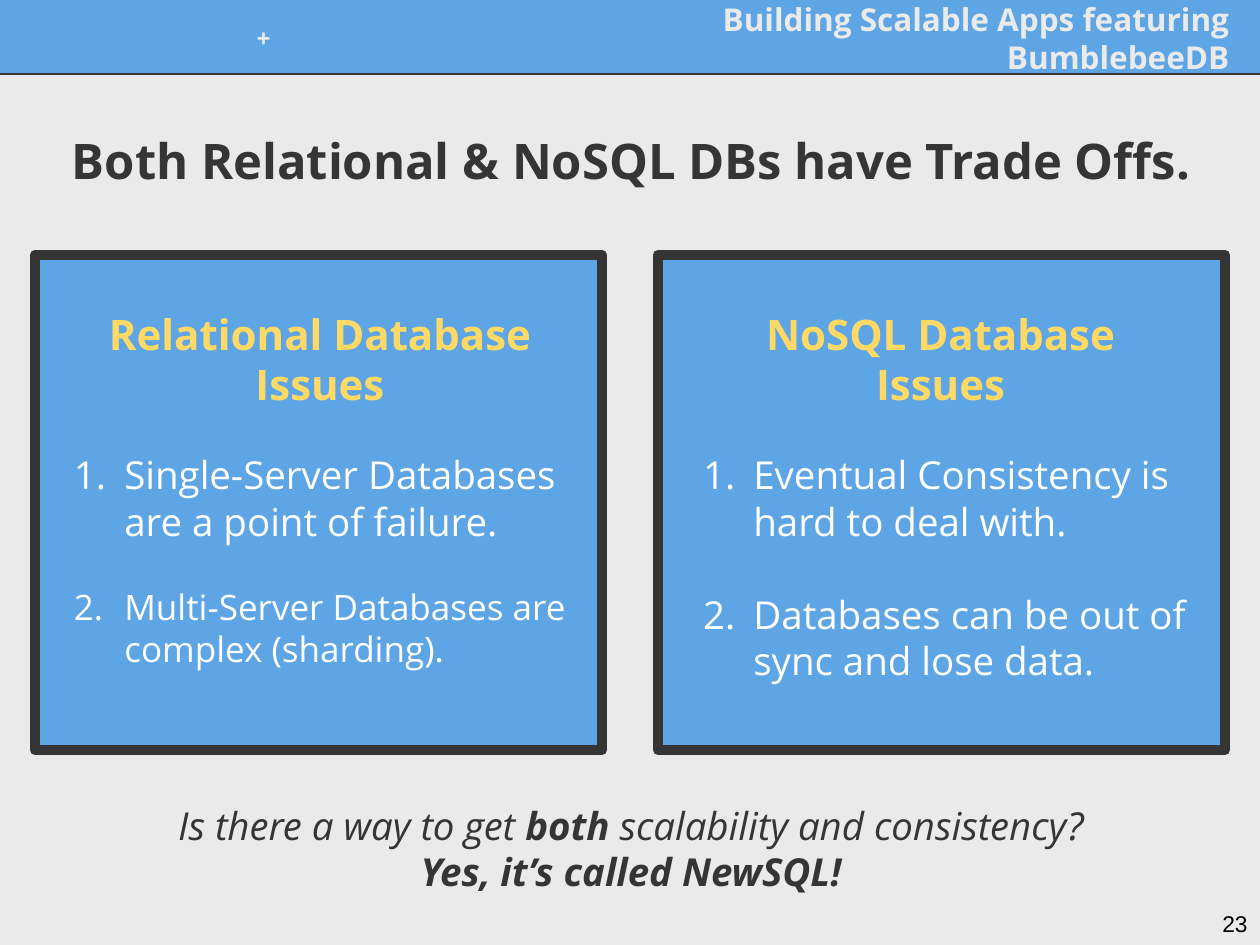
from lxml import etree
from pptx import Presentation, util as u
from pptx.dml.color import RGBColor
from pptx.enum import shapes, text
from pptx.oxml import ns

PX = 914400 / 126
W, H = 1260, 945
COLORS = {"paper": "EAEAEA", "blue": "5EA5E5", "ink": "353535",
          "yellow": "FFD966", "white": "FFFFFF", "black": "000000"}
ALIGN = text.PP_ALIGN


def px(*values):
    return [u.Emu(round(v * PX)) for v in values]


def rgb(name):
    return RGBColor.from_string(COLORS[name])


def write(p, content, size=22, color="ink", bold=False, italic=False,
          font="Open Sans", align=ALIGN.CENTER, before=0):
    """Add one run to a paragraph and set the format of both."""
    p.alignment = align
    p.line_spacing = 1.0
    p.space_before = u.Pt(before)
    r = p.add_run()
    r.text = content
    r.font.name, r.font.size = font, u.Pt(size)
    r.font.bold, r.font.italic = bold, italic
    r.font.color.rgb = rgb(color)


def number(p):
    """Make a paragraph an item of a numbered list."""
    pPr = p._p.get_or_add_pPr()
    pPr.set("marL", str(u.Inches(0.5)))
    pPr.set("indent", str(-u.Inches(0.4)))
    clr = etree.SubElement(pPr, ns.qn("a:buClr"))
    etree.SubElement(clr, ns.qn("a:srgbClr"), val=COLORS["white"])
    etree.SubElement(pPr, ns.qn("a:buAutoNum"), type="arabicPeriod")


class Deck:
    def __init__(self):
        self.prs = Presentation()
        self.prs.slide_width, self.prs.slide_height = px(W, H)
        self.slide = self.prs.slides.add_slide(self.prs.slide_layouts[5])
        fill = self.slide.background.fill
        fill.solid()
        fill.fore_color.rgb = rgb("paper")

    def frame(self, sp, anchor):
        tf = sp.text_frame
        tf.word_wrap = True
        tf.auto_size = text.MSO_AUTO_SIZE.NONE
        tf.vertical_anchor = anchor
        tf.margin_left = tf.margin_right = u.Inches(0.1)
        tf.margin_top = tf.margin_bottom = u.Inches(0.1)
        return tf

    def title(self, box, content, **style):
        sp = self.slide.shapes.title
        sp.left, sp.top, sp.width, sp.height = px(*box)
        tf = self.frame(sp, text.MSO_ANCHOR.MIDDLE)
        write(tf.paragraphs[0], content, **style)

    def text(self, box, anchor=text.MSO_ANCHOR.TOP):
        return self.frame(self.slide.shapes.add_textbox(*px(*box)), anchor)

    def rect(self, box, line, width):
        sp = self.slide.shapes.add_shape(shapes.MSO_SHAPE.RECTANGLE, *px(*box))
        sp.shadow.inherit = False
        sp.fill.solid()
        sp.fill.fore_color.rgb = rgb("blue")
        sp.line.color.rgb = rgb(line)
        sp.line.width = u.Pt(width)

    def line(self, ends, color, width):
        c = self.slide.shapes.add_connector(shapes.MSO_CONNECTOR.STRAIGHT, *px(*ends))
        c.line.color.rgb = rgb(color)
        c.line.width = u.Pt(width)
        etree.SubElement(c._element.spPr, ns.qn("a:effectLst"))

    def card(self, left, text_left, text_width, heading, items, gap):
        self.rect((left, 255, 567, 495), "ink", 6)
        tf = self.text((text_left, 296, text_width, 413))
        for i, part in enumerate(heading):
            p = tf.add_paragraph() if i else tf.paragraphs[0]
            write(p, part, size=24, color="yellow", bold=True)
        for i, (item, size) in enumerate(items):
            p = tf.add_paragraph()
            number(p)
            write(p, item, size=size, color="white", align=ALIGN.LEFT,
                  before=gap if i else 24)


def main():
    d = Deck()

    # Header band
    d.rect((0, 0, W, 74), "blue", 0.75)
    d.line((0, 74, W, 74), "ink", 1.5)
    for box, label, size in (
            ((243, 14, 40, 48), "+", 14),
            ((484, 14, 758, 48), "Building Scalable Apps featuring BumblebeeDB", 18)):
        tf = d.text(box, text.MSO_ANCHOR.MIDDLE)
        write(tf.paragraphs[0], label, size=size, color="paper", bold=True,
              align=ALIGN.RIGHT)

    # Title
    d.title((23, 89, 1216, 141), "Both Relational & NoSQL DBs have Trade Offs.",
            size=28, bold=True)

    # Two cards
    d.card(35, 49, 542, ("Relational Database", "Issues"),
           (("Single-Server Databases are a point of failure.", 22),
            ("Multi-Server Databases are complex (sharding).", 20)), gap=24)
    d.card(658, 678, 525, ("NoSQL Database", "Issues"),
           (("Eventual Consistency is hard to deal with.", 22),
            ("Databases can be out of sync and lose data.", 22)), gap=27)

    # Closing question and answer
    tf = d.text((32, 789, 1198, 131))
    for part, bold in (("Is there a way to get ", False), ("both", True),
                       (" scalability and consistency?", False)):
        write(tf.paragraphs[0], part, bold=bold, italic=True)
    write(tf.add_paragraph(), "Yes, it’s called NewSQL!", bold=True, italic=True)

    # Page number
    tf = d.text((1184, 897, 76, 48))
    write(tf.paragraphs[0], "23", size=13, color="black", font="Arial",
          align=ALIGN.RIGHT)

    d.prs.save("out.pptx")


if __name__ == "__main__":
    main()
